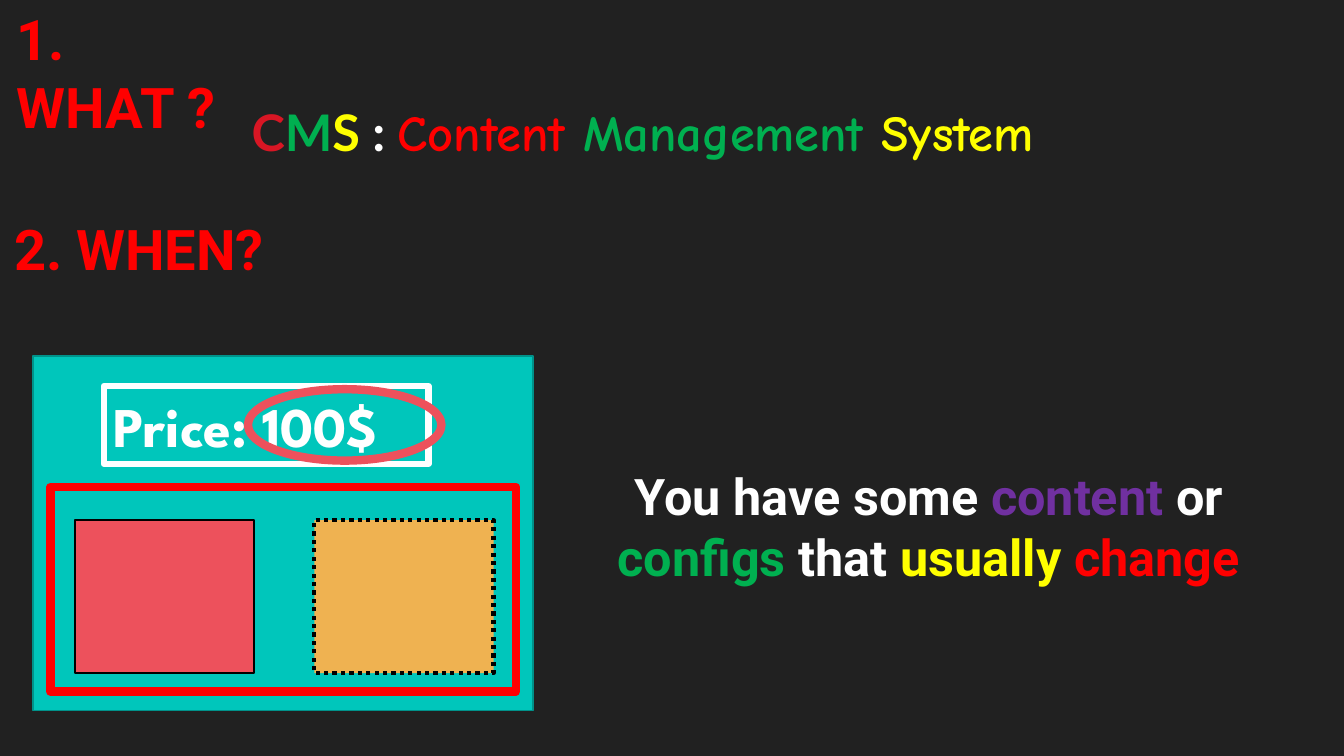
from pptx import Presentation
from pptx.dml.color import RGBColor
from pptx.enum.dml import MSO_LINE
from pptx.enum.shapes import MSO_SHAPE as Shape
from pptx.enum.text import MSO_AUTO_SIZE as AutoSize, MSO_ANCHOR as Anchor, PP_ALIGN as Align
from pptx.util import Pt

RED, GREEN, YELLOW, WHITE = "FF0000", "00B050", "FFFF00", "FFFFFF"
CORAL, TEAL, AMBER = "ED515C", "00C6BB", "EFB251"


def rgb(value):
    return RGBColor.from_string(value)


def write(holder, size, align, pieces):
    frame = holder.text_frame
    frame.word_wrap = True
    frame.auto_size = AutoSize.SHAPE_TO_FIT_TEXT
    frame.vertical_anchor = Anchor.TOP
    paragraph = frame.paragraphs[0]
    paragraph.alignment = align
    for words, font, color in pieces:
        run = paragraph.add_run()
        run.text = words
        run.font.size = Pt(size)
        run.font.bold = True
        run.font.name = font
        run.font.color.rgb = rgb(color)


deck = Presentation()
deck.slide_width, deck.slide_height = Pt(960), Pt(540)
slide = deck.slides.add_slide(deck.slide_layouts[6])
slide.background.fill.solid()
slide.background.fill.fore_color.rgb = rgb("212121")

definition = [
    ("C", "Lato", "D81624"),
    ("M", "Lato", GREEN),
    ("S ", "Lato", YELLOW),
    (": ", "Lato", WHITE),
    ("Content ", "Comic Neue", RED),
    ("Management ", "Comic Neue", GREEN),
    ("System", "Comic Neue", YELLOW),
]
reason = [
    ("You have some ", "Roboto", WHITE),
    ("content ", "Roboto", "7030A0"),
    ("or ", "Roboto", WHITE),
    ("configs", "Roboto", GREEN),
    (" that ", "Roboto", WHITE),
    ("usually", "Roboto", YELLOW),
    (" change", "Roboto", RED),
]
texts = [
    ((101.5, 68.4, 715, 51), 36, Align.CENTER, definition),
    ((5, 0, 192, 55.5), 40, Align.LEFT, [("1. WHAT ?", "Roboto", RED)]),
    ((3, 149.8, 389, 55.5), 40, Align.LEFT, [("2. WHEN?", "Roboto", RED)]),
    ((410.4, 329, 506, 94.5), 36, Align.CENTER, reason),
]
for box, size, align, pieces in texts:
    write(slide.shapes.add_textbox(*map(Pt, box)), size, align, pieces)

price = [("Price: 100$", "League Spartan", WHITE)]
page_parts = [
    (Shape.RECTANGLE, (23.8, 254.2, 357, 253.4), TEAL, "00928A", 1.25, None, []),
    (Shape.RECTANGLE, (74.2, 275.8, 232, 55.5), None, WHITE, 4.5, None, price),
    (Shape.RECTANGLE, (53.3, 371.5, 128, 109.4), CORAL, "000000", 1.5, None, []),
    (Shape.RECTANGLE, (224.6, 371.5, 128, 109.4), AMBER, "000000", 3, MSO_LINE.ROUND_DOT, []),
    (Shape.OVAL, (177.1, 278, 138.2, 51), None, CORAL, 6, None, []),
    (Shape.RECTANGLE, (36, 347.8, 332.6, 146.2), None, RED, 6, None, []),
]
for outline, box, fill, edge, weight, dash, pieces in page_parts:
    part = slide.shapes.add_shape(outline, *map(Pt, box))
    part.shadow.inherit = False
    if fill:
        part.fill.solid()
        part.fill.fore_color.rgb = rgb(fill)
    else:
        part.fill.background()
    part.line.color.rgb = rgb(edge)
    part.line.width = Pt(weight)
    if dash:
        part.line.dash_style = dash
    if pieces:
        write(part, 40, Align.LEFT, pieces)

deck.save("out.pptx")
